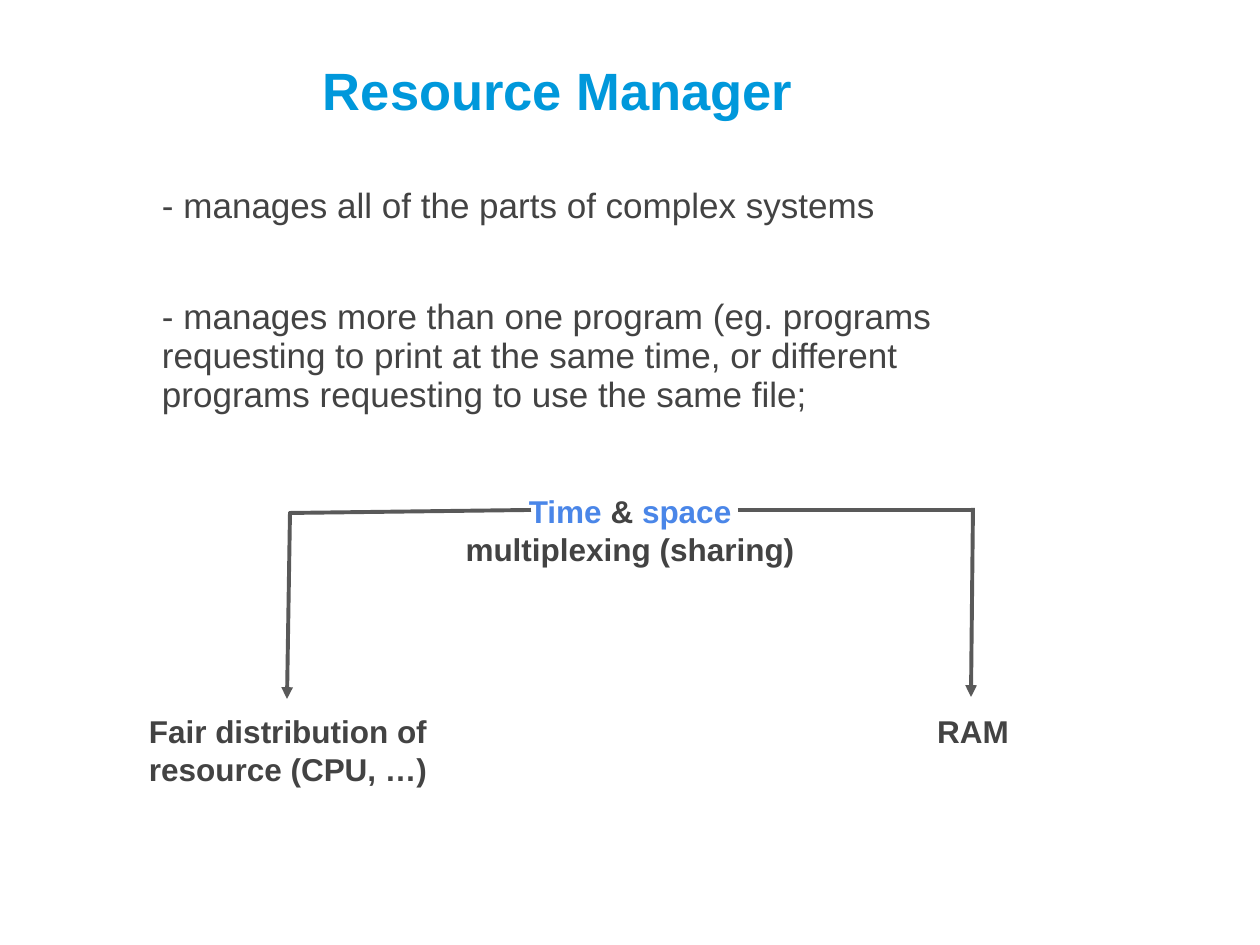
from lxml import etree
from pptx import Presentation
from pptx.dml.color import RGBColor
from pptx.enum.shapes import MSO_CONNECTOR
from pptx.enum.text import MSO_ANCHOR, PP_ALIGN
from pptx.oxml.ns import qn
from pptx.util import Emu, Pt

EMU_PER_PX = 914400 / 126
LEFT, CENTER = PP_ALIGN.LEFT, PP_ALIGN.CENTER
TOP, MIDDLE, BOTTOM = MSO_ANCHOR.TOP, MSO_ANCHOR.MIDDLE, MSO_ANCHOR.BOTTOM
STRAIGHT = MSO_CONNECTOR.STRAIGHT
COLORS = {"title": "0098DB", "text": "434343", "accent": "4A86E8", "line": "595959"}
BULLET = {"line_spacing": 0.93, "space_before": Pt(6)}
MARGINS = ("margin_left", "margin_top", "margin_right", "margin_bottom")


def px(n):
    return Emu(round(n * EMU_PER_PX))


def rgb(name):
    return RGBColor.from_string(COLORS[name])


def set_attrs(obj, values):
    for name, value in values.items():
        setattr(obj, name, value)


class SlideBuilder:
    font = "Arial"
    inset = 13
    line_width = Pt(2.25)

    def __init__(self, slide):
        self.slide = slide

    def text(self, box, runs, size, bold=False, align=LEFT, anchor=TOP, spacing=None):
        """Add a one-paragraph text box; runs are (text, color name) pairs."""
        tf = self.slide.shapes.add_textbox(*map(px, box)).text_frame
        set_attrs(tf, {"word_wrap": True, "vertical_anchor": anchor})
        set_attrs(tf, dict.fromkeys(MARGINS, px(self.inset)))
        p = tf.paragraphs[0]
        set_attrs(p, {"alignment": align, **(spacing or {})})
        for content, color in runs:
            r = p.add_run()
            r.text = content
            set_attrs(r.font, {"name": self.font, "size": Pt(size), "bold": bold})
            r.font.color.rgb = rgb(color)

    def label(self, box, *runs):
        self.text(box, runs, 18, bold=True, align=CENTER)

    def line(self, start, end, arrow=False):
        sp = self.slide.shapes.add_connector(STRAIGHT, *map(px, start + end))
        sp.line.color.rgb = rgb("line")
        sp.line.width = self.line_width
        props = sp._element.spPr
        if arrow:
            etree.SubElement(props.find(qn("a:ln")), qn("a:tailEnd"), type="triangle")
        etree.SubElement(props, qn("a:effectLst"))


def main():
    prs = Presentation()
    prs.slide_width, prs.slide_height = px(1260), px(945)
    s = SlideBuilder(prs.slides.add_slide(prs.slide_layouts[6]))

    s.text((310, 47, 929, 87), [("Resource Manager", "title")], 30, bold=True, anchor=BOTTOM)
    s.text((149, 174, 896, 81),
           [("- manages all of the parts of complex systems", "text")], 20, spacing=BULLET)
    s.text((149, 296, 896, 122),
           [("- manages more than one program (eg. programs requesting to print at the "
             "same time, or different programs requesting to use the same file;", "text")],
           20, anchor=MIDDLE, spacing={**BULLET, "space_after": Pt(16)})

    s.label((445, 479, 370, 81), ("Time ", "accent"), ("& ", "text"),
            ("space ", "accent"), ("multiplexing (sharing)", "text"))
    s.label((130, 699, 316, 88), ("Fair distribution of resource (CPU, …)", "text"))
    s.label((907, 699, 132, 88), ("RAM", "text"))

    s.line((531, 510), (289, 513))
    s.line((290, 512), (287, 699), arrow=True)
    s.line((738, 510), (973, 510))
    s.line((973, 508), (971, 697), arrow=True)

    prs.save("out.pptx")


if __name__ == "__main__":
    main()
